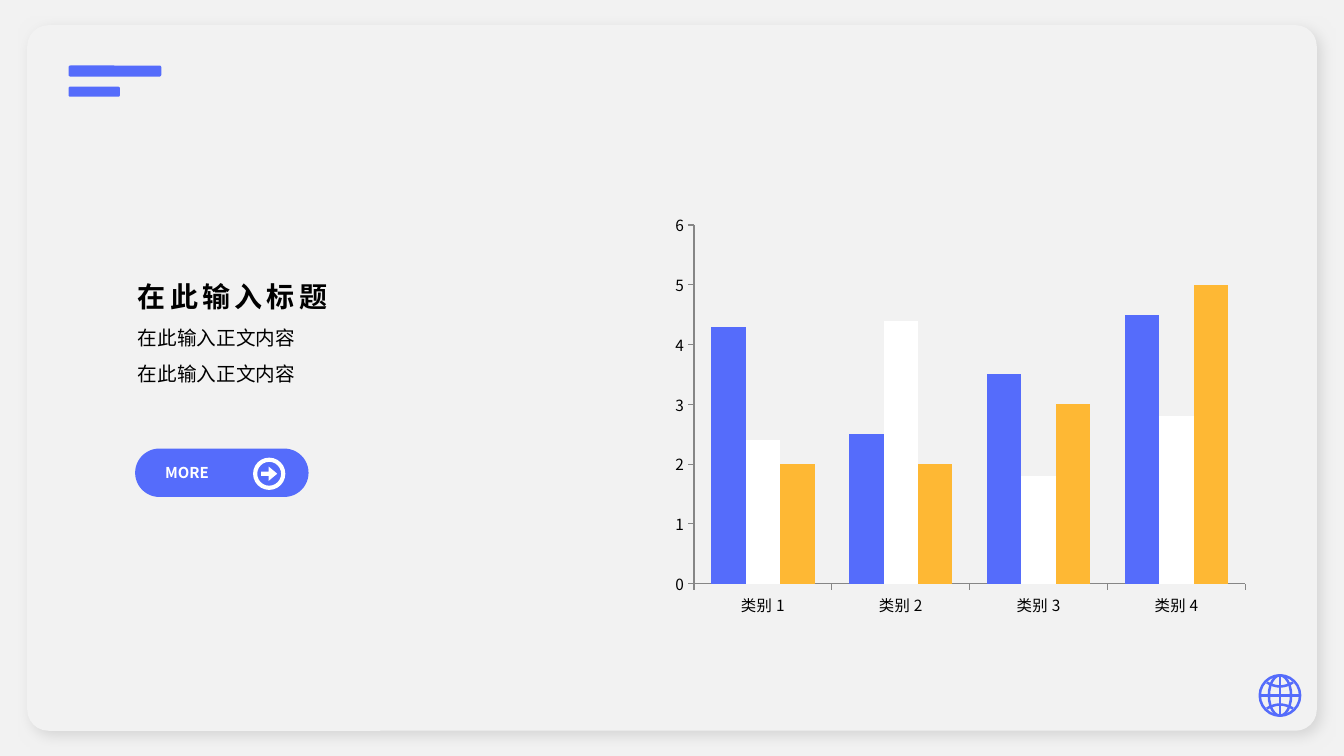
from lxml import etree
from pptx import Presentation
from pptx.chart.data import CategoryChartData
from pptx.dml.color import RGBColor
from pptx.enum.chart import XL_CHART_TYPE as ChartType, XL_TICK_MARK as TickMark
from pptx.enum.shapes import MSO_CONNECTOR as Connector, MSO_SHAPE as Shape
from pptx.enum.text import MSO_ANCHOR as Anchor, MSO_AUTO_SIZE as AutoSize, PP_ALIGN as Align
from pptx.oxml.ns import qn
from pptx.util import Inches, Pt

BLUE = RGBColor(0x55, 0x6C, 0xFB)
ORANGE = RGBColor(0xFE, 0xB8, 0x34)
WHITE = RGBColor(0xFF, 0xFF, 0xFF)
BLACK = RGBColor(0, 0, 0)
PALE = RGBColor(0xF2, 0xF2, 0xF2)
GREY = RGBColor(0x86, 0x86, 0x86)
FONT = "Noto Sans CJK SC"

CATEGORIES = ["类别 1", "类别 2", "类别 3", "类别 4"]
SERIES = [
    ("Series 1", (4.3, 2.5, 3.5, 4.5), BLUE),
    ("Series 2", (2.4, 4.4, 1.8, 2.8), WHITE),
    ("Series 3", (2, 2, 3, 5), ORANGE),
]
CHART_BOX = (6.58, 2.04, 5.89, 4.15)

# preset, box, fill, adjustments
CARD = (Shape.ROUNDED_RECTANGLE, (0.27, 0.25, 12.79, 7), PALE, [0.03])
SHAPES = [
    (Shape.ROUNDED_RECTANGLE, (0.68, 0.65, 0.92, 0.11), BLUE, []),
    (Shape.ROUNDED_RECTANGLE, (0.68, 0.86, 0.51, 0.1), BLUE, []),
    (Shape.ROUNDED_RECTANGLE, (1.34, 4.45, 1.72, 0.48), BLUE, [0.5]),
    (Shape.DONUT, (2.51, 4.54, 0.32, 0.32), WHITE, [0.13]),
    (Shape.RIGHT_ARROW, (2.59, 4.63, 0.16, 0.14), WHITE, [0.3, 0.6]),
]

# box, lines, font values, paragraph values, frame values, letter spacing in points
TEXTS = [
    ((1.42, 4.55, 0.87, 0.27), ["MORE"],
     {"size": Pt(10.7), "bold": True}, WHITE,
     {"alignment": Align.CENTER},
     {"word_wrap": True, "vertical_anchor": Anchor.MIDDLE}, 0),
    ((1.27, 2.72, 2.14, 0.44), ["在此输入标题"],
     {"size": Pt(20), "bold": True}, BLACK, {},
     {"word_wrap": False, "auto_size": AutoSize.SHAPE_TO_FIT_TEXT}, 3),
    ((1.27, 3.07, 2.12, 0.77), ["在此输入正文内容"] * 2,
     {"size": Pt(14)}, BLACK, {"line_spacing": 1.5},
     {"word_wrap": True, "auto_size": AutoSize.SHAPE_TO_FIT_TEXT}, 0),
]

GLOBE_CENTRE = (12.695, 6.9)
GLOBE_RADIUS = 0.2
MERIDIAN_RADIUS = 0.11
GLOBE_LINE = Pt(1.8)


def apply(target, values):
    for name, value in values.items():
        setattr(target, name, value)


def inches(values):
    return [Inches(value) for value in values]


def style_font(font, values, color):
    """Set font values, with the typeface for East Asian characters too."""
    apply(font, {"name": FONT, **values})
    font.color.rgb = color
    etree.SubElement(font._rPr, qn("a:ea")).set("typeface", FONT)


def add_filled(slide, preset, box, fill, adjustments):
    shape = slide.shapes.add_shape(preset, *inches(box))
    shape.shadow.inherit = False
    shape.fill.solid()
    shape.fill.fore_color.rgb = fill
    shape.line.fill.background()
    for index, value in enumerate(adjustments):
        shape.adjustments[index] = value
    return shape


def add_card_shadow(shape):
    effects = shape._element.spPr.find(qn("a:effectLst"))
    shadow = etree.SubElement(effects, qn("a:outerShdw"), blurRad=str(Pt(10)),
                              dist=str(Pt(5)), dir="2700000", algn="tl", rotWithShape="0")
    etree.SubElement(shadow, qn("a:srgbClr"), val="D4D4D4")


def add_text(slide, box, lines, font_values, color, paragraph_values, frame_values, spacing):
    frame = slide.shapes.add_textbox(*inches(box)).text_frame
    apply(frame, frame_values)
    for index, line in enumerate(lines):
        paragraph = frame.add_paragraph() if index else frame.paragraphs[0]
        apply(paragraph, paragraph_values)
        run = paragraph.add_run()
        run.text = line
        style_font(run.font, font_values, color)
        if spacing:
            run.font._rPr.set("spc", str(spacing * 100))


def add_bar_chart(slide):
    data = CategoryChartData()
    data.categories = CATEGORIES
    for name, values, _ in SERIES:
        data.add_series(name, values)
    chart = slide.shapes.add_chart(
        ChartType.COLUMN_CLUSTERED, *inches(CHART_BOX), data).chart
    apply(chart, {"has_legend": False, "has_title": False})
    style_font(chart.font, {"size": Pt(11)}, BLACK)
    plot = chart.plots[0]
    apply(plot, {"gap_width": 100, "overlap": 0, "vary_by_categories": False})
    for series, (_, _, color) in zip(plot.series, SERIES):
        series.format.fill.solid()
        series.format.fill.fore_color.rgb = color
    for axis in (chart.category_axis, chart.value_axis):
        apply(axis, {"has_major_gridlines": False, "major_tick_mark": TickMark.OUTSIDE,
                     "minor_tick_mark": TickMark.NONE})
        axis.format.line.color.rgb = GREY
        axis.format.line.width = Pt(0.75)
    apply(chart.value_axis, {"minimum_scale": 0, "maximum_scale": 6, "major_unit": 1})


def style_globe_line(line):
    line.color.rgb = BLUE
    line.width = GLOBE_LINE


def add_globe(slide):
    x, y = GLOBE_CENTRE
    radius = GLOBE_RADIUS
    outlines = [
        slide.shapes.add_shape(Shape.OVAL, *inches(
            (x - half_width, y - radius, 2 * half_width, 2 * radius)))
        for half_width in (radius, MERIDIAN_RADIUS)]
    steps = [step / 6 for step in range(-6, 7)]
    for side in (-1, 1):
        points = [inches((x + 0.13 * step, y + side * (0.09 + 0.04 * step ** 2)))
                  for step in steps]
        builder = slide.shapes.build_freeform(*points[0])
        builder.add_line_segments(points[1:], close=False)
        outlines.append(builder.convert_to_shape())
    for outline in outlines:
        outline.shadow.inherit = False
        outline.fill.background()
        style_globe_line(outline.line)
    for dx, dy in ((radius, 0), (0, radius)):
        connector = slide.shapes.add_connector(
            Connector.STRAIGHT, *inches((x - dx, y - dy, x + dx, y + dy)))
        style_globe_line(connector.line)
        etree.SubElement(connector._element.spPr, qn("a:effectLst"))


def main():
    presentation = Presentation()
    apply(presentation, {"slide_width": Inches(13.33), "slide_height": Inches(7.5)})
    slide = presentation.slides.add_slide(presentation.slide_layouts[6])
    slide.background.fill.solid()
    slide.background.fill.fore_color.rgb = PALE
    add_card_shadow(add_filled(slide, *CARD))
    for item in SHAPES:
        add_filled(slide, *item)
    add_bar_chart(slide)
    for item in TEXTS:
        add_text(slide, *item)
    add_globe(slide)
    presentation.save("out.pptx")


if __name__ == "__main__":
    main()
